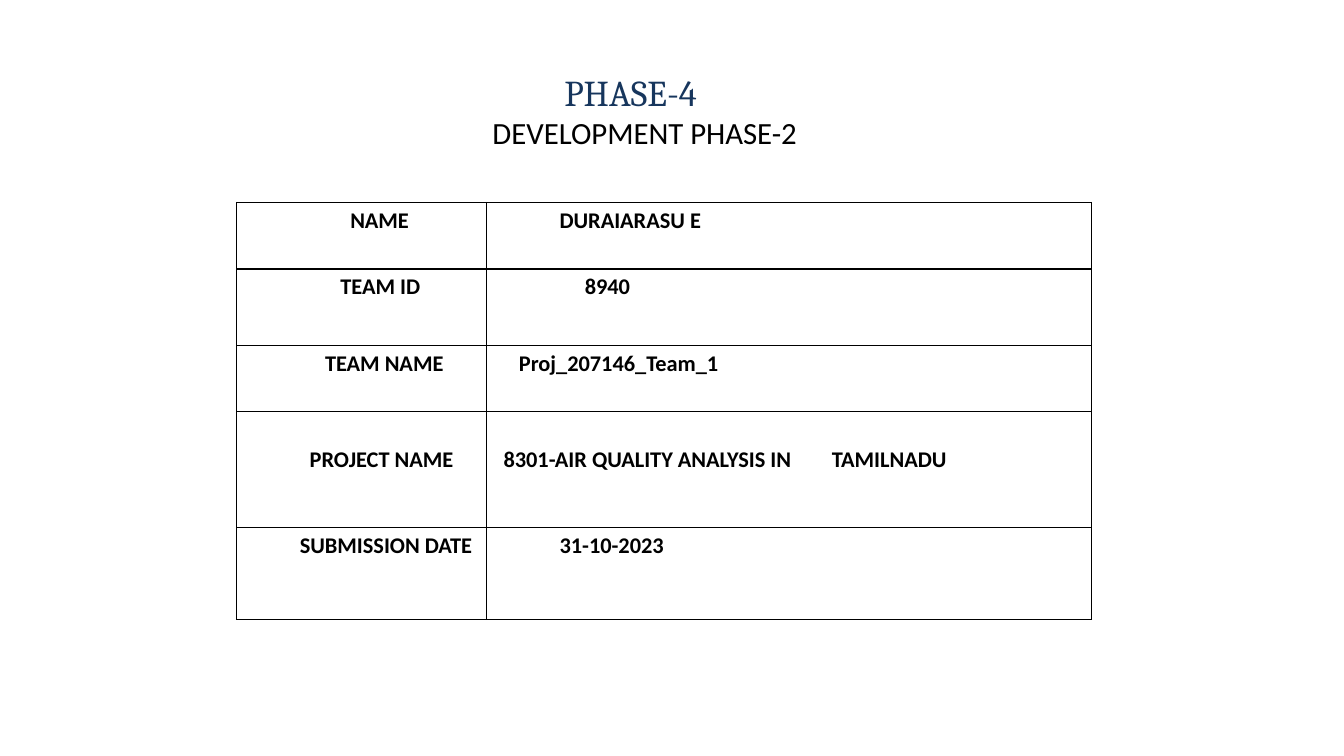
from lxml import etree
from pptx import Presentation
from pptx.dml.color import RGBColor
from pptx.enum.text import MSO_ANCHOR, PP_ALIGN
from pptx.oxml.ns import qn
from pptx.util import Pt

BLACK = RGBColor(0x00, 0x00, 0x00)
NAVY = RGBColor(0x17, 0x36, 0x5D)
CENTER = PP_ALIGN.CENTER
MIDDLE = MSO_ANCHOR.MIDDLE

# text, size, font, colour, left indent
TITLE = [
    ("PHASE-4", 26, "Cambria", NAVY, 0),
    ("DEVELOPMENT PHASE-2", 22, "Calibri", BLACK, 20),
]
# row height, space above the text, then (text, indent) for each cell
ROWS = [
    (47.5, 0, ("NAME", 76), ("DURAIARASU E", 47)),
    (54.7, 0, ("TEAM ID", 69), ("8940", 65)),
    (47, 0, ("TEAM NAME", 58), ("Proj_207146_Team_1", 18)),
    (83, 22, ("PROJECT NAME", 47), ("8301-AIR QUALITY ANALYSIS IN\tTAMILNADU", 7)),
    (65.5, 0, ("SUBMISSION DATE", 40), ("31-10-2023", 47)),
]
COLS = [178.5, 432]
LEFT, TOP = 169.2, 144.7
PAD = 5
TAB = 234.5


def add_run(para, text, size, font, color, bold=False):
    run = para.add_run()
    run.text = text
    run.font.size = Pt(size)
    run.font.name = font
    run.font.bold = bold
    run.font.color.rgb = color


def add_sub(parent, tag, **attrs):
    return etree.SubElement(parent, qn(tag), {k: str(v) for k, v in attrs.items()})


def add_edges(cell):
    """Draw a thin black line on all four sides of a cell."""
    props = cell._tc.get_or_add_tcPr()
    for side in ("a:lnL", "a:lnR", "a:lnT", "a:lnB"):
        line = add_sub(props, side, w=Pt(1))
        add_sub(add_sub(line, "a:solidFill"), "a:srgbClr", val=BLACK)


def fill_cell(cell, text, indent, above):
    cell.margin_left, cell.margin_right = Pt(PAD + indent), Pt(PAD)
    cell.margin_top, cell.margin_bottom = Pt(above), Pt(0)
    add_edges(cell)
    cell.fill.background()
    para = cell.text_frame.paragraphs[0]
    para.line_spacing = 1.15
    if "\t" in text:
        tabs = add_sub(para._p.get_or_add_pPr(), "a:tabLst")
        add_sub(tabs, "a:tab", pos=Pt(TAB), algn="l")
    add_run(para, text, 16, "Calibri", BLACK, True)


def add_title(slide):
    frame = slide.shapes.add_textbox(Pt(-29.5), Pt(46), Pt(960), Pt(65.5)).text_frame
    frame.word_wrap = True
    frame.vertical_anchor = MIDDLE
    for i, (text, size, font, color, indent) in enumerate(TITLE):
        para = frame.add_paragraph() if i else frame.paragraphs[0]
        para.alignment = CENTER
        para._p.get_or_add_pPr().set("marL", str(Pt(indent)))
        add_run(para, text, size, font, color)


def add_grid(slide):
    high = sum(row[0] for row in ROWS)
    table = slide.shapes.add_table(
        len(ROWS), len(COLS), Pt(LEFT), Pt(TOP), Pt(sum(COLS)), Pt(high)).table
    table.first_row = table.horz_banding = False
    for col, width in zip(table.columns, COLS):
        col.width = Pt(width)
    for row, (height, above, *cells) in zip(table.rows, ROWS):
        row.height = Pt(height)
        for cell, (text, indent) in zip(row.cells, cells):
            fill_cell(cell, text, indent, above)


def main():
    deck = Presentation()
    deck.slide_width, deck.slide_height = Pt(960), Pt(540)
    slide = deck.slides.add_slide(deck.slide_layouts[6])
    add_grid(slide)
    add_title(slide)
    deck.save("out.pptx")


if __name__ == "__main__":
    main()
